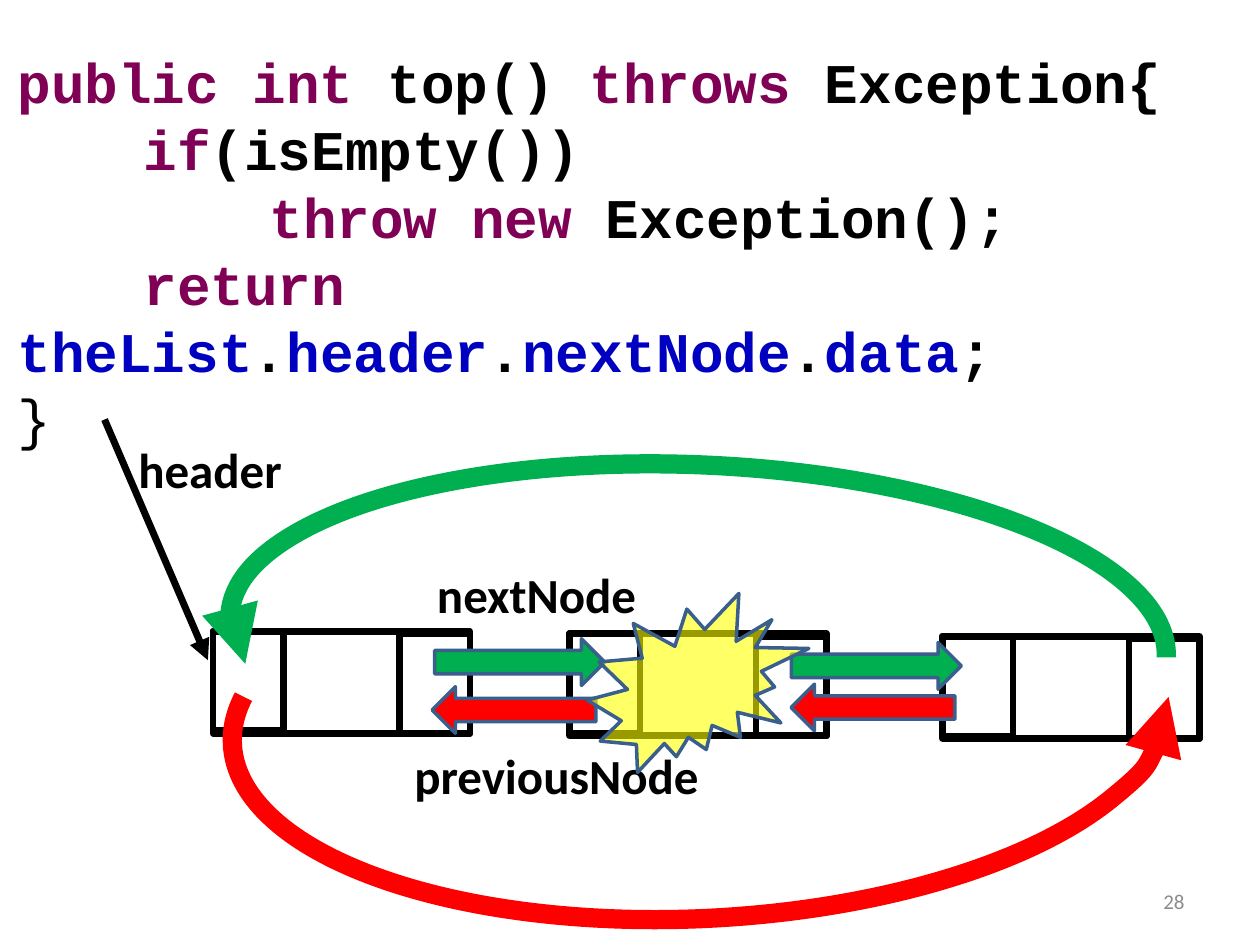
from pptx import Presentation
from pptx.dml.color import RGBColor
from pptx.enum.shapes import MSO_CONNECTOR, MSO_SHAPE as SHAPE
from pptx.enum.text import MSO_ANCHOR as ANCHOR, PP_ALIGN as ALIGN
from pptx.oxml.ns import qn
from pptx.util import Inches, Pt
from lxml.etree import SubElement

THEME = dict(
    code_font="Courier New", font="Calibri",
    code_size=32, label_size=28, number_size=12,
    black="000000", keyword="7F0055", field="0000C0", grey="8C8C8C",
    green="00B050", red="FF0000", yellow="FFFF00", outline="3A5F8C",
)

CODE = [
    [("public int", "keyword"), (" top() ", "black"), ("throws", "keyword"), (" Exception{", "black")],
    [("\tif", "keyword"), ("(isEmpty())", "black")],
    [("\t\tthrow new", "keyword"), (" Exception();", "black")],
    [("\treturn ", "keyword"), ("theList", "field"), (".", "black"), ("header", "field"),
     (".", "black"), ("nextNode", "field"), (".", "black"), ("data", "field"), (";", "black")],
    [("}", "black")],
]
LABELS = [
    ("header", (1, 3.44, 2.17, 0.57)),
    ("nextNode", (3.37, 4.43, 2.17, 0.57)),
    ("previousNode", (3.19, 5.87, 2.56, 0.57)),
]
NODES = [(1.69, 5.01), (4.52, 5.03), (7.48, 5.05)]
NODE_W, NODE_H = 2.04, 0.81
CELL_W, CELL_H = 0.56, 0.79
NEXT_ARROWS = [(3.45, 5.07), (6.28, 5.1)]
PREVIOUS_ARROWS = [(6.28, 5.43), (3.43, 5.45)]
ARROW_H = 0.37
ARC_START = 104.457
TAB = Inches(1)


def rgb(name):
    return RGBColor.from_string(THEME[name])


def add_text(slide, paragraphs, box, size, font="font", bold=True, align=ALIGN.LEFT, anchor=ANCHOR.TOP):
    tf = slide.shapes.add_textbox(*map(Inches, box)).text_frame
    tf.word_wrap = True
    tf.vertical_anchor = anchor
    for i, runs in enumerate(paragraphs):
        p = tf.add_paragraph() if i else tf.paragraphs[0]
        p.alignment = align
        p._p.get_or_add_pPr().set("defTabSz", str(TAB))
        for text, color in runs:
            r = p.add_run()
            r.text = text
            r.font.name, r.font.size = THEME[font], Pt(THEME[size])
            r.font.bold = bold
            r.font.color.rgb = rgb(color)
    return tf


def add_shape(slide, kind, box, line, width, fill=None):
    sp = slide.shapes.add_shape(kind, *map(Inches, box))
    sp.shadow.inherit = False
    if fill:
        sp.fill.solid()
        sp.fill.fore_color.rgb = rgb(fill)
    else:
        sp.fill.background()
    sp.line.color.rgb = rgb(line)
    sp.line.width = Pt(width)
    return sp


def flip(sp, axis):
    sp._element.spPr.find(qn("a:xfrm")).set(axis, "1")


def add_arrowhead(sp, end):
    SubElement(sp.line._get_or_add_ln(), qn(f"a:{end}"), type="triangle")


def add_arc(slide, box, color, rotation, end):
    sp = add_shape(slide, SHAPE.ARC, box, color, 11)
    sp.adjustments[0], sp.adjustments[1] = ARC_START, 0
    sp.rotation = rotation
    add_arrowhead(sp, end)
    return sp


def add_node(slide, x, y):
    right = x + NODE_W - CELL_W
    for box in [(x, y, NODE_W, NODE_H), (x, y, CELL_W, CELL_H), (right, y + 0.02, CELL_W, CELL_H)]:
        add_shape(slide, SHAPE.RECTANGLE, box, "black", 3.75)


def main():
    prs = Presentation()
    prs.slide_width, prs.slide_height = Inches(10), Inches(7.5)
    s = prs.slides.add_slide(prs.slide_layouts[6])

    tf = add_text(s, CODE, (0.04, 0.33, 10.58, 2.79), "code_size", "code_font")
    tf.paragraphs[-1].runs[0].font.bold = False

    pointer = s.shapes.add_connector(MSO_CONNECTOR.STRAIGHT, *map(Inches, (0.83, 3.33, 1.65, 5.24)))
    pointer.line.color.rgb = rgb("black")
    pointer.line.width = Pt(4)
    add_arrowhead(pointer, "tailEnd")
    SubElement(pointer._element.spPr, qn("a:effectLst"))

    for x, y in NODES:
        add_node(s, x, y)
    for x, y in NEXT_ARROWS:
        add_shape(s, SHAPE.RIGHT_ARROW, (x, y, 1.35, ARROW_H), "outline", 2, "green")
    add_arc(s, (1.82, 3.69, 7.44, 2.73), "green", 2.5, "headEnd")
    for x, y in PREVIOUS_ARROWS:
        flip(add_shape(s, SHAPE.RIGHT_ARROW, (x, y, 1.3, ARROW_H), "outline", 2, "red"), "flipH")
    flip(add_arc(s, (1.84, 4.15, 7.44, 3.14), "red", 357.1, "tailEnd"), "flipV")

    for text, box in LABELS:
        add_text(s, [[(text, "black")]], box, "label_size")

    burst = add_shape(s, SHAPE.EXPLOSION2, (4.66, 4.71, 1.76, 1.42), "outline", 2, "yellow")
    color = burst._element.spPr.find(qn("a:solidFill")).find(qn("a:srgbClr"))
    SubElement(color, qn("a:alpha"), val="60000")

    add_text(s, [[("28", "grey")]], (7.17, 6.95, 2.33, 0.4), "number_size",
             bold=False, align=ALIGN.RIGHT, anchor=ANCHOR.MIDDLE)
    prs.save("out.pptx")


if __name__ == "__main__":
    main()
